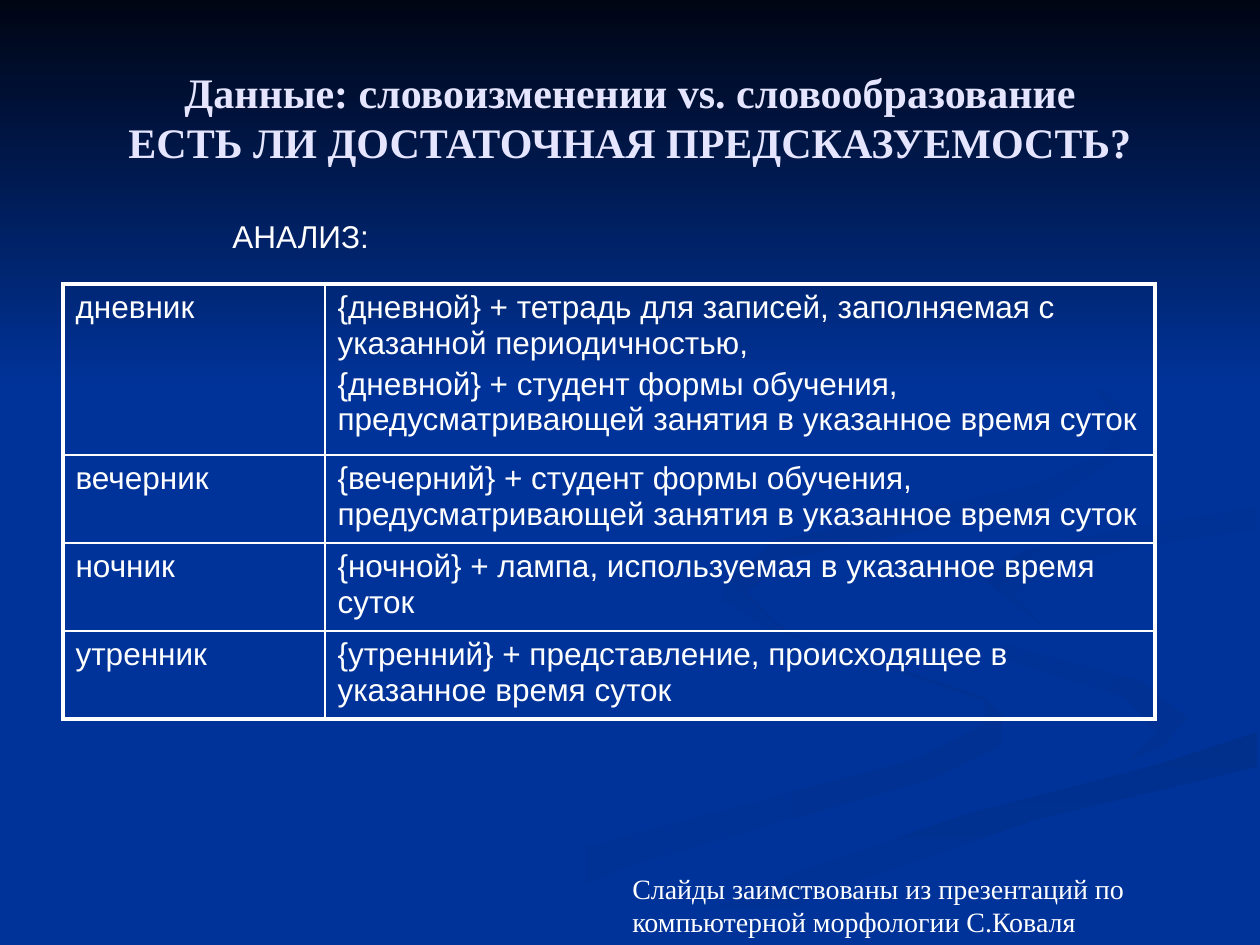
from lxml import etree
from pptx import Presentation
from pptx.dml.color import RGBColor
from pptx.enum.text import MSO_ANCHOR, PP_ALIGN
from pptx.oxml.ns import qn
from pptx.util import Pt

PX = 914400 / 126
WIDTH, HEIGHT = 1260, 945
CENTER, LEFT = PP_ALIGN.CENTER, PP_ALIGN.LEFT
MIDDLE = MSO_ANCHOR.MIDDLE
SERIF, SANS = "Times New Roman", "Arial"
BLUE, WHITE, LAVENDER = "003399", "FFFFFF", "E5E5FF"
THICK, THIN = 2.25, 1

# Edges that neighbouring ribbons share
CREST = [(912, 585), (939, 617), (1022, 649), (1140, 680), (1188, 718)]
SWEEP = [(634, 944), (794, 873), (963, 815), (1159, 764), (1257, 732)]
TAIL = [(984, 580), (1022, 551), (1131, 527), (1257, 507)]

# Each ribbon: gradient start, gradient end, clockwise angle, outline
RIBBONS = [
    (BLUE, "003193", 0, [
        (984, 697), (789, 633), (725, 578), (721, 600), (770, 629), (984, 701),
        (987, 723), (916, 759), (577, 849), (378, 944), (455, 944), (629, 866),
        (932, 779), (1002, 746), (1002, 714)]),
    (BLUE, "003193", 45, CREST + [
        (1174, 742), (1126, 762), (1157, 732), (1124, 697), (1004, 660), (924, 615)]),
    ("002F8C", BLUE, 90, SWEEP + [(1257, 767), (1034, 820), (818, 895), (719, 944)]),
    (BLUE, BLUE, 0, CREST + [(1158, 752), (780, 862), (601, 944)] + SWEEP
     + [(1257, 678), (1029, 620)] + TAIL + [(1257, 488), (1072, 518), (935, 553)]),
    ("003091", BLUE, 45, TAIL + [
        (1257, 529), (1129, 548), (1043, 571), (1014, 595), (1041, 625)]),
    ("002F8E", BLUE, 45, [
        (861, 542), (1040, 507), (1120, 456), (1121, 408), (1062, 346), (960, 294),
        (1066, 352), (1120, 422), (1104, 454), (1031, 486), (775, 541), (727, 582),
        (784, 630), (747, 592), (786, 559)]),
    ("000514", BLUE, 90, [(0, 0), (0, 388), (WIDTH, 388), (WIDTH, 0)]),
]

COLUMNS = [262, 830]
ROW_HEIGHTS = [171, 88, 88, 88]
WORDS = [
    ("дневник",
     "{дневной} + тетрадь для записей, заполняемая с указанной периодичностью,",
     "{дневной} + студент формы обучения, предусматривающей занятия в указанное время суток"),
    ("вечерник",
     "{вечерний} + студент формы обучения, предусматривающей занятия в указанное время суток"),
    ("ночник", "{ночной} + лампа, используемая в указанное время суток"),
    ("утренник", "{утренний} + представление, происходящее в указанное время суток"),
]


def px(n):
    return round(n * PX)


def rgb(color):
    return RGBColor.from_string(color)


def write(tf, *paragraphs, size=18, font=SANS, color=WHITE, bold=False,
          align=LEFT, gap=0):
    tf.word_wrap = True
    for i, text in enumerate(paragraphs):
        p = tf.add_paragraph() if i else tf.paragraphs[0]
        p.text = text
        p.alignment = align
        if i:
            p.space_before = Pt(gap)
        for r in p.runs:
            r.font.name, r.font.size, r.font.bold = font, Pt(size), bold
            r.font.color.rgb = rgb(color)


def add_ribbon(s, start, end, angle, points):
    builder = s.shapes.build_freeform(*points[0], scale=PX)
    builder.add_line_segments(points[1:], close=True)
    sp = builder.convert_to_shape()
    sp.shadow.inherit = False
    sp.line.fill.background()
    if start == end:
        sp.fill.solid()
        sp.fill.fore_color.rgb = rgb(start)
        return
    sp.fill.gradient()
    sp.fill.gradient_angle = (360 - angle) % 360
    for stop, color, position in zip(sp.fill.gradient_stops, (start, end), (0, 1)):
        stop.color.rgb = rgb(color)
        stop.position = position


def add_background(s):
    s.background.fill.solid()
    s.background.fill.fore_color.rgb = rgb(BLUE)
    for ribbon in RIBBONS:
        add_ribbon(s, *ribbon)


def place_title(s, text, x, y, w, h):
    title = s.shapes.title
    s.shapes.element.append(title.element)  # in front of the background
    title.left, title.top, title.width, title.height = map(px, (x, y, w, h))
    title.text_frame.vertical_anchor = MIDDLE
    write(title.text_frame, text, size=24, font=SERIF, color=LAVENDER,
          bold=True, align=CENTER)


def add_text(s, text, x, y, w, h, **fmt):
    write(s.shapes.add_textbox(*map(px, (x, y, w, h))).text_frame, text, **fmt)


def set_borders(cell, **widths):
    tcPr = cell._tc.get_or_add_tcPr()
    for i, (side, width) in enumerate(widths.items()):
        ln = etree.Element(qn(f"a:ln{side}"), w=str(Pt(width)))
        fill = etree.SubElement(ln, qn("a:solidFill"))
        etree.SubElement(fill, qn("a:srgbClr"), val=WHITE)
        tcPr.insert(i, ln)


def add_word_table(s, x, y):
    last_row, last_col = len(WORDS) - 1, len(COLUMNS) - 1
    frame = s.shapes.add_table(len(WORDS), len(COLUMNS), px(x), px(y),
                               px(sum(COLUMNS)), px(sum(ROW_HEIGHTS)))
    table = frame.table
    table.first_row = table.horz_banding = False
    for column, width in zip(table.columns, COLUMNS):
        column.width = px(width)
    for i, (word, *meanings) in enumerate(WORDS):
        table.rows[i].height = px(ROW_HEIGHTS[i])
        for j, paragraphs in enumerate(([word], meanings)):
            cell = table.cell(i, j)
            cell.fill.background()
            write(cell.text_frame, *paragraphs, gap=3.6)
            set_borders(cell,
                        L=THIN if j else THICK,
                        R=THICK if j == last_col else THIN,
                        T=THIN if i else THICK,
                        B=THICK if i == last_row else THIN)


def main():
    prs = Presentation()
    prs.slide_width, prs.slide_height = px(WIDTH), px(HEIGHT)
    s = prs.slides.add_slide(prs.slide_layouts[5])
    add_background(s)
    place_title(s, "Данные: словоизменении vs. словообразование\n"
                   "ЕСТЬ ЛИ ДОСТАТОЧНАЯ ПРЕДСКАЗУЕМОСТЬ?", 63, 38, 1134, 158)
    add_word_table(s, 63, 284)
    add_text(s, "АНАЛИЗ:", 220, 211, 798, 50)
    add_text(s, "Слайды заимствованы из презентаций по компьютерной морфологии С.Коваля",
             620, 865, 630, 80, size=16, font=SERIF)
    prs.save("out.pptx")


if __name__ == "__main__":
    main()
